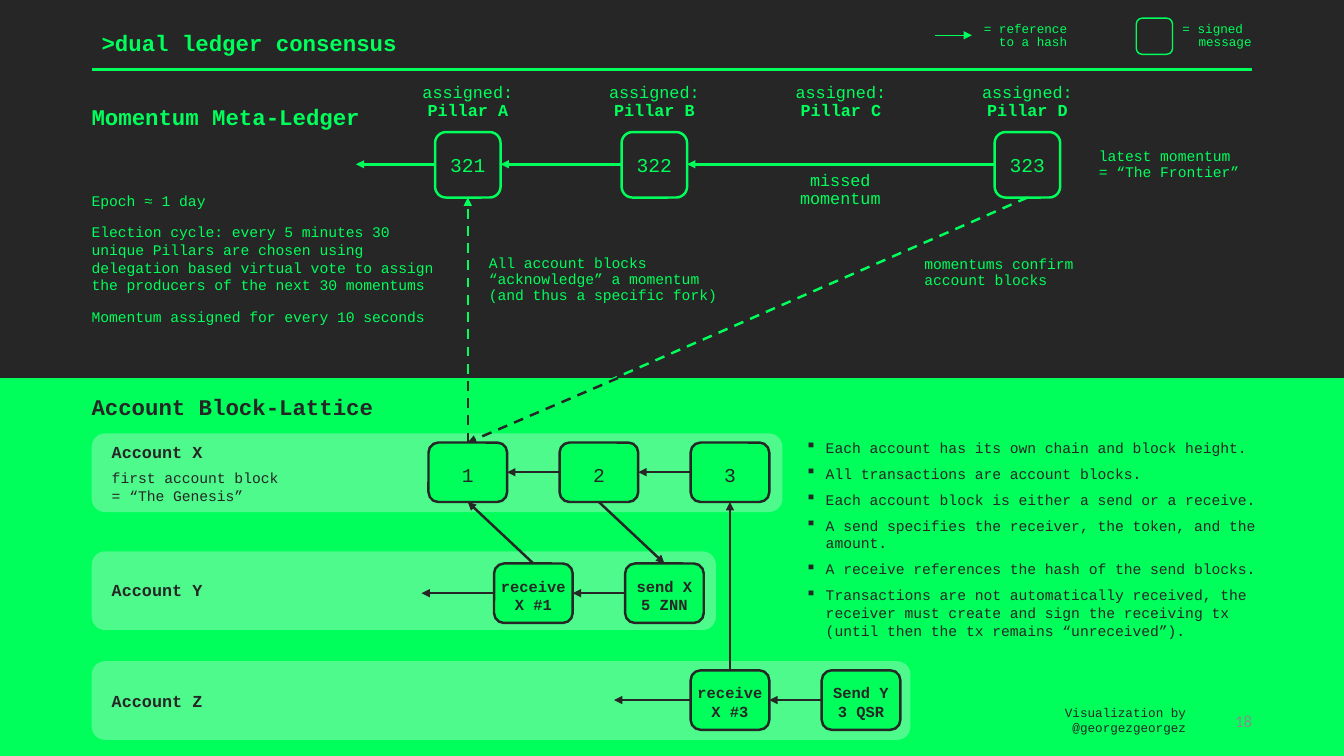
from dataclasses import dataclass

from lxml.etree import SubElement as Sub
from pptx import Presentation
from pptx.dml.color import RGBColor as Color
from pptx.enum.dml import MSO_LINE as Dash
from pptx.enum.shapes import MSO_CONNECTOR as Link, MSO_SHAPE as Kind
from pptx.enum.text import MSO_ANCHOR as Anchor, PP_ALIGN as Align
from pptx.oxml.ns import qn
from pptx.util import Inches, Pt


@dataclass
class Theme:
    dark: str = "262626"
    green: str = "00FF5B"
    pale: str = "F2F2F2"
    gray: str = "8C8C8C"
    mono: str = "Courier New"
    sans: str = "Calibri"
    head: float = 16
    block: float = 14
    label: float = 12
    deal: float = 11
    body: float = 10.5
    small: float = 9
    line: float = 1.75
    thin: float = 1
    rule: float = 2


T = Theme()

HEADS = [
    (">dual ledger consensus", 0.91, 0.16, 11.5, T.green, Anchor.BOTTOM),
    ("Momentum Meta-Ledger", 0.81, 0.95, 3.12, T.green, Anchor.MIDDLE),
    ("Account Block-Lattice", 0.81, 3.83, 3.43, T.dark, Anchor.MIDDLE),
]
NAMES = [("Account X", 4.27), ("Account Y", 5.64), ("Account Z", 6.74)]
PANELS = [(4.3, 6.85), (5.47, 6.19), (6.56, 8.12)]
PILLARS = ["Pillar A", "Pillar B", "Pillar C", "Pillar D"]
MOMENTS = {0: "321", 1: "322", 3: "323"}
ROWS = [
    (4.39, None, T.block, False, {0: "1", 2: "2", 4: "3"}),
    (5.59, 4.18, T.deal, True, {1: "receive X #1", 3: "send X 5 ZNN"}),
    (6.65, 6.09, T.deal, True, {4: "receive X #3", 6: "Send Y 3 QSR"}),
]
NOTES = [
    ("All account blocks “acknowledge” a momentum (and thus a specific fork)", 4.75, 2.55, 2.68),
    ("latest momentum\v= “The Frontier”", 10.8, 1.41, 1.95),
    ("momentums confirm account blocks", 9.07, 2.48, 1.85),
]
LEGEND = [
    ("= signed message", 11.63, 1.34, 0.16),
    ("= reference to a hash", 9.66, 1.23, 0.15),
]
EPOCH = [
    "Epoch ≈ 1 day",
    "Election cycle: every 5 minutes 30 unique Pillars are chosen using delegation based virtual vote to assign the producers of the next 30 momentums",
    "Momentum assigned for every 10 seconds",
]
FACTS = [
    "Each account has its own chain and block height.",
    "All transactions are account blocks.",
    "Each account block is either a send or a receive.",
    "A send specifies the receiver, the token, and the amount.",
    "A receive references the hash of the send blocks.",
    "Transactions are not automatically received, the receiver must create and sign the receiving tx (until then the tx remains “unreceived”).",
]

deck = Presentation()
deck.slide_width, deck.slide_height = Inches(13.33), Inches(7.5)
slide = deck.slides.add_slide(deck.slide_layouts[6])
slide.background.fill.solid()
slide.background.fill.fore_color.rgb = Color.from_string(T.dark)
shapes = slide.shapes


def style(run, size, tone, bold=False, face=T.mono):
    font = run.font
    font.size, font.bold, font.name = Pt(size), bold, face
    font.color.rgb = Color.from_string(tone)


def fill_text(shape, lines, size, tone, bold=False, align=Align.LEFT, anchor=Anchor.MIDDLE,
              inset=(0.1, 0.05, 0.1, 0.05), lead=None, face=T.mono):
    frame = shape.text_frame
    frame.word_wrap, frame.vertical_anchor = True, anchor
    (frame.margin_left, frame.margin_top,
     frame.margin_right, frame.margin_bottom) = map(Inches, inset)
    frame.text = "\n".join(lines)
    for para in frame.paragraphs:
        para.alignment = align
        if lead:
            para.line_spacing = lead
        for run in para.runs:
            style(run, size, tone, bold, face)
    return frame.paragraphs


def text(lines, x, y, w, size, tone, h=0.45, **kw):
    return fill_text(shapes.add_textbox(*map(Inches, (x, y, w, h))), lines, size, tone, **kw)


def hang(para, depth, mark=None):
    props = para._p.get_or_add_pPr()
    props.set("marL", str(Inches(depth)))
    props.set("indent", str(-Inches(depth)))
    if mark:
        Sub(props, qn("a:buChar"), char=mark)


def box(x, y, w, h, fill, edge=None, width=T.line, kind=Kind.ROUNDED_RECTANGLE):
    shape = shapes.add_shape(kind, *map(Inches, (x, y, w, h)))
    shape.shadow.inherit = False
    shape.fill.solid()
    shape.fill.fore_color.rgb = Color.from_string(fill)
    if edge:
        shape.line.color.rgb = Color.from_string(edge)
        shape.line.width = Pt(width)
    else:
        shape.line.fill.background()
    return shape


def line(x1, y1, x2, y2, tone, width=T.line, dash=False, tip=True):
    wire = shapes.add_connector(Link.STRAIGHT, *map(Inches, (x1, y1, x2, y2)))
    wire.line.color.rgb = Color.from_string(tone)
    wire.line.width = Pt(width)
    if dash:
        wire.line.dash_style = Dash.DASH
    if tip:
        Sub(wire.line._get_or_add_ln(), qn("a:tailEnd"), type="triangle")
    Sub(wire._element.spPr, qn("a:effectLst"))


LEFT, SPLIT = 0.91, 3.75
SIDE, TOP, PITCH = 0.65, 1.31, 1.85
WIDE, HIGH, STEP = 0.78, 0.59, 0.65


def mid(col):
    return 4.64 + col * STEP


def pillar(col):
    return 4.64 + col * PITCH


def chain(xs, y, half, tone, end):
    for left, right in zip(xs, xs[1:]):
        line(right - half, y, left + half, y, tone)
    if end:
        line(xs[0] - half, y, end, y, tone)


box(0, SPLIT, 13.33, 3.75, T.green, kind=Kind.RECTANGLE)
line(LEFT, 0.69, 12.42, 0.69, T.green, T.rule, tip=False)
for y, w in PANELS:
    panel = box(LEFT, y, w, 0.78, T.pale)
    tint = panel.fill._xPr.find(qn("a:solidFill"))[0]
    Sub(tint, qn("a:alpha"), val="32000")

for words, x, y, w, tone, anchor in HEADS:
    text([words], x, y, w, T.head, tone, bold=True, anchor=anchor, lead=0.9)
for words, y in NAMES:
    text([words], 1.01, y, 2.48, T.label, T.dark, bold=True, lead=0.9)
text(["first account block = “The Genesis”"], 1.01, 4.6, 1.99, T.body, T.dark)
for words, x, y, w in NOTES:
    text([words], x, y, w, T.body, T.green, lead=0.9)

for col, name in enumerate(PILLARS):
    para = text(["assigned: "], pillar(col) - 0.84, 0.79, 1.68, T.label, T.green,
                align=Align.CENTER, lead=0.9)[0]
    run = para.add_run()
    run.text = name
    style(run, T.label, T.green, True)
for col, mark in MOMENTS.items():
    fill_text(box(pillar(col) - SIDE / 2, TOP, SIDE, SIDE, T.dark, T.green), [mark],
              T.block, T.green, align=Align.CENTER, inset=(0, 0, 0, 0))
chain([pillar(col) for col in MOMENTS], 1.63, SIDE / 2, T.green, 3.53)
text(["missed momentum"], 7.57, 1.66, 1.53, T.label, T.green, align=Align.CENTER, lead=0.9)

first, second, third = (row[0] for row in ROWS)
base, foot = TOP + SIDE, first + HIGH
line(mid(0), first, mid(0), base, T.green, dash=True)
line(pillar(3), base, mid(0), first, T.green, dash=True)
line(mid(0), first, mid(0), SPLIT, T.dark, dash=True, tip=False)
line(6.13, SPLIT, mid(0), first, T.dark, dash=True)
line(mid(1), second, mid(0), foot, T.dark)
line(mid(2), foot, mid(3), second, T.dark)
line(mid(4), third, mid(4), foot, T.dark)

for y, end, size, bold, blocks in ROWS:
    for col, words in blocks.items():
        fill_text(box(mid(col) - WIDE / 2, y, WIDE, HIGH, T.green, T.dark), [words],
                  size, T.dark, bold=bold, align=Align.CENTER, inset=(0, 0.04, 0, 0))
    chain([mid(col) for col in blocks], y + HIGH / 2, WIDE / 2, T.dark, end)

box(11.27, 0.18, 0.36, 0.36, T.dark, T.green, T.thin)
line(9.27, 0.35, 9.64, 0.35, T.green, T.thin)
for words, x, w, depth in LEGEND:
    hang(text([words], x, 0.13, w, T.small, T.green, lead=0.9)[0], depth)

for para in text(EPOCH, 0.81, 1.82, 3.64, T.body, T.green, h=1.68, anchor=Anchor.TOP,
                 inset=(0.1, 0.08, 0.1, 0.08))[1:]:
    para.space_before = Pt(10)
for para in text(FACTS, 7.99, 4.3, 4.53, T.body, T.dark, h=2.14, anchor=Anchor.TOP,
                 inset=(0, 0.05, 0, 0.05)):
    para.space_after = Pt(6)
    hang(para, 0.2, "▪")

text(["Visualization by @georgezgeorgez"], 9.74, 6.92, 2.12, T.small, T.dark, align=Align.RIGHT)
text(["18"], 9.42, 6.95, 3, T.label, T.gray, h=0.4, align=Align.RIGHT,
     inset=(0.1, 0.05, 0, 0.05), face=T.sans)

deck.save("out.pptx")
